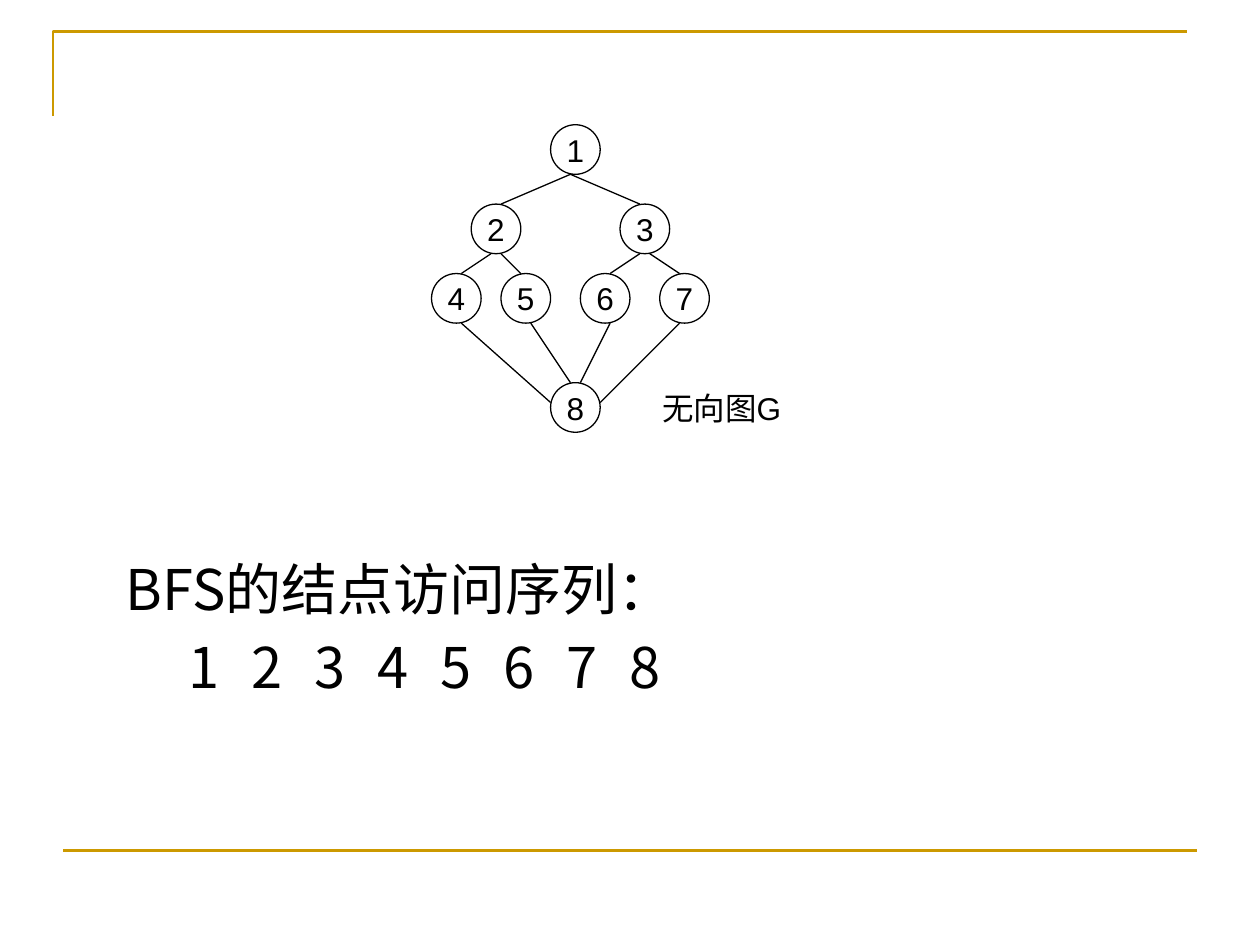
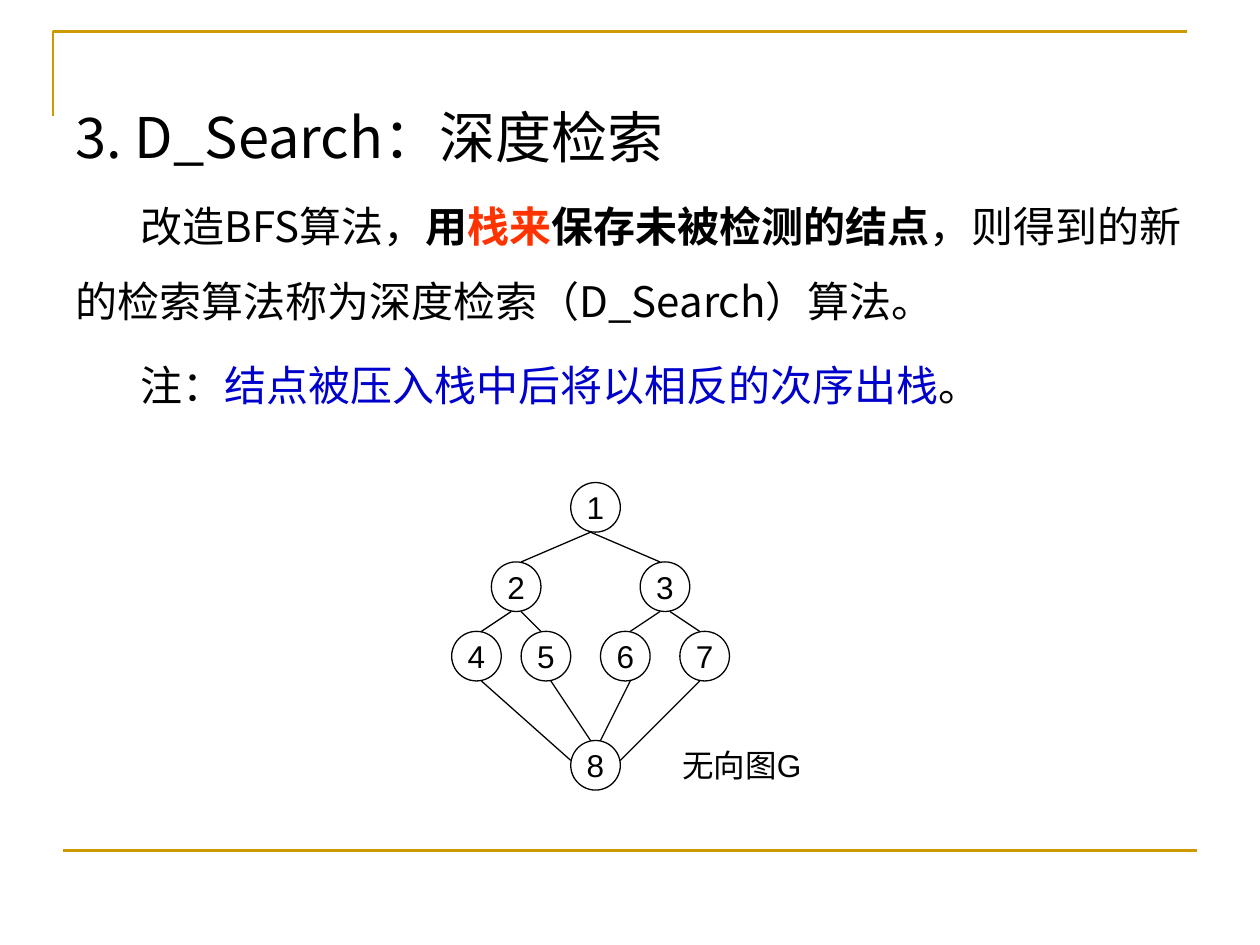
from dataclasses import dataclass
from typing import Any

from lxml.etree import SubElement
from pptx import Presentation
from pptx.dml.color import RGBColor
from pptx.enum.shapes import MSO_CONNECTOR as Connector, MSO_SHAPE as Preset
from pptx.enum.text import MSO_ANCHOR as Anchor, MSO_AUTO_SIZE as AutoSize, PP_ALIGN as Align
from pptx.oxml.ns import qn
from pptx.util import Cm, Inches, Length, Pt

GOLD = RGBColor(0xCC, 0x99, 0x00)
BLACK = RGBColor(0x00, 0x00, 0x00)
RED = RGBColor(0xFF, 0x33, 0x00)
BLUE = RGBColor(0x00, 0x00, 0xCC)

HAN_FONT = "Noto Sans CJK SC"
LATIN_FONT = "Arial"
PAGE_WIDTH, PAGE_HEIGHT = Inches(10), Inches(7.5)
COLUMN, ROW = PAGE_WIDTH // 100, PAGE_HEIGHT // 75
GRAPH_UNIT = Cm(0.2)
NODE_SIZE = 5
TITLE_ONLY, BLANK = 5, 6


@dataclass(frozen=True)
class Area:
    column: float
    row: float
    columns: float
    rows: float

    def lengths(self) -> tuple[int, int, int, int]:
        return (round(self.column * COLUMN), round(self.row * ROW),
                round(self.columns * COLUMN), round(self.rows * ROW))


@dataclass(frozen=True)
class Node:
    label: str
    column: int
    row: int


@dataclass(frozen=True)
class Edge:
    start: tuple[int, int]
    end: tuple[int, int]


@dataclass(frozen=True)
class Span:
    text: str
    color: RGBColor = BLACK
    bold: bool = False


@dataclass(frozen=True)
class TextStyle:
    size: Length
    leading: Length | None = None
    font: str = HAN_FONT
    align: Align = Align.LEFT


HEADING = TextStyle(Pt(32), Pt(38.4))
BODY = TextStyle(Pt(24), Pt(43.2))
GRAPH_LABEL = TextStyle(Pt(18), font=LATIN_FONT)
NODE_LABEL = TextStyle(Pt(18), font=LATIN_FONT, align=Align.CENTER)

NODES = [
    Node("1", 12, 0),
    Node("2", 4, 8), Node("3", 19, 8),
    Node("4", 0, 15), Node("5", 7, 15), Node("6", 15, 15), Node("7", 23, 15),
    Node("8", 12, 26),
]
EDGES = [
    Edge((14, 5), (7, 8)), Edge((14, 5), (21, 8)),
    Edge((6, 13), (3, 15)), Edge((7, 13), (9, 15)),
    Edge((21, 13), (18, 15)), Edge((22, 13), (25, 15)),
    Edge((3, 20), (12, 28)), Edge((10, 20), (14, 26)),
    Edge((18, 20), (15, 26)), Edge((25, 20), (17, 28)),
]


def apply(target: Any, values: dict[str, Any]) -> None:
    for name, value in values.items():
        setattr(target, name, value)


def set_frame(box: Any, anchor: Anchor, wrap: bool = True, **margins: Length) -> None:
    apply(box.text_frame, {"auto_size": AutoSize.NONE, "word_wrap": wrap,
                           "vertical_anchor": anchor, **margins})


def write(para: Any, spans: list[Span], style: TextStyle, indent: Length = 0,
          tabs: tuple[Length, ...] = (), before: Length = 0) -> None:
    apply(para, {"alignment": style.align, "space_before": before, "line_spacing": style.leading})
    properties = para._p.get_or_add_pPr()
    properties.set("marL", "0")
    properties.set("indent", str(indent))
    if tabs:
        stops = SubElement(properties, qn("a:tabLst"))
        for position in tabs:
            SubElement(stops, qn("a:tab"), pos=str(position), algn="l")
    for span in spans:
        run = para.add_run()
        run.text = span.text
        apply(run.font, {"name": style.font, "size": style.size, "bold": span.bold})
        run.font.color.rgb = span.color
        east_asian = SubElement(run._r.get_or_add_rPr(), qn("a:ea"))
        east_asian.set("typeface", HAN_FONT)


def set_line(shape: Any, color: RGBColor, width: Length) -> None:
    shape.line.color.rgb = color
    shape.line.width = width


def draw_line(shapes: Any, start: tuple[int, int], end: tuple[int, int],
              color: RGBColor, width: Length) -> None:
    connector = shapes.add_connector(Connector.STRAIGHT, *start, *end)
    set_line(connector, color, width)
    SubElement(connector._element.spPr, qn("a:effectLst"))


def draw_frame(page: Any) -> None:
    left, top, width, height = Area(4.2, 2.5, 90, 6.7).lengths()
    builder = page.shapes.build_freeform(left, top + height, scale=1.0)
    builder.add_line_segments([(left, top), (left + width, top)], close=False)
    corner = builder.convert_to_shape()
    corner.fill.background()
    corner.shadow.inherit = False
    set_line(corner, GOLD, Pt(1.5))
    left, top, width, _ = Area(5, 67.5, 90, 0).lengths()
    draw_line(page.shapes, (left, top), (left + width, top), GOLD, Pt(1.5))


def draw_graph(page: Any, column: float, row: float) -> None:
    left, top, _, _ = Area(column, row, 0, 0).lengths()
    shapes = page.shapes.add_group_shape().shapes

    def place(x: int, y: int) -> tuple[int, int]:
        return left + x * GRAPH_UNIT, top + y * GRAPH_UNIT

    size = NODE_SIZE * GRAPH_UNIT
    for node in NODES:
        circle = shapes.add_shape(Preset.OVAL, *place(node.column, node.row), size, size)
        circle.fill.background()
        circle.shadow.inherit = False
        set_line(circle, BLACK, Pt(0.75))
        set_frame(circle, Anchor.MIDDLE, wrap=False, margin_left=0, margin_right=0,
                  margin_top=0, margin_bottom=0)
        write(circle.text_frame.paragraphs[0], [Span(node.label)], NODE_LABEL)
    for edge in EDGES:
        draw_line(shapes, place(*edge.start), place(*edge.end), BLACK, Pt(0.75))
    caption = shapes.add_textbox(*place(22, 26), 17 * GRAPH_UNIT, size)
    set_frame(caption, Anchor.MIDDLE)
    write(caption.text_frame.paragraphs[0], [Span("无向图G")], GRAPH_LABEL)


def build_visit_order(deck: Any) -> None:
    page = deck.slides.add_slide(deck.slide_layouts[BLANK])
    draw_frame(page)
    box = page.shapes.add_textbox(*Area(9, 43, 87.4, 16.5).lengths())
    set_frame(box, Anchor.TOP, margin_top=Inches(0.1))
    write(box.text_frame.paragraphs[0], [Span("BFS的结点访问序列：")], HEADING)
    indent = Inches(0.5)
    tabs = tuple(indent + step * Pt(32) for step in range(1, len(NODES)))
    order = "\t".join(node.label for node in NODES)
    write(box.text_frame.add_paragraph(), [Span(order)], HEADING, indent, tabs, Pt(6.4))
    draw_graph(page, 34.25, 9.9)


def build_depth_search(deck: Any) -> None:
    page = deck.slides.add_slide(deck.slide_layouts[TITLE_ONLY])
    draw_frame(page)
    title = page.shapes.title
    apply(title, dict(zip(("left", "top", "width", "height"), Area(5, 7.6, 91.5, 6).lengths())))
    set_frame(title, Anchor.TOP)
    write(title.text_frame.paragraphs[0], [Span("3. D_Search：深度检索")], HEADING)
    box = page.shapes.add_textbox(*Area(5, 13.4, 91.5, 21).lengths())
    set_frame(box, Anchor.TOP)
    indent = Inches(0.52)
    write(box.text_frame.paragraphs[0], [
        Span("改造BFS算法，"),
        Span("用", bold=True),
        Span("栈来", RED, True),
        Span("保存未被检测的结点", bold=True),
        Span("，则得到的新的检索算法称为深度检索（D_Search）算法。"),
    ], BODY, indent)
    write(box.text_frame.add_paragraph(), [
        Span("注："),
        Span("结点被压入栈中后将以相反的次序出栈", BLUE),
        Span("。"),
    ], BODY, indent, before=Pt(4.8))
    draw_graph(page, 35.85, 38.3)


def main() -> None:
    deck = Presentation()
    apply(deck, {"slide_width": PAGE_WIDTH, "slide_height": PAGE_HEIGHT})
    build_visit_order(deck)
    build_depth_search(deck)
    deck.save("out.pptx")


if __name__ == "__main__":
    main()
